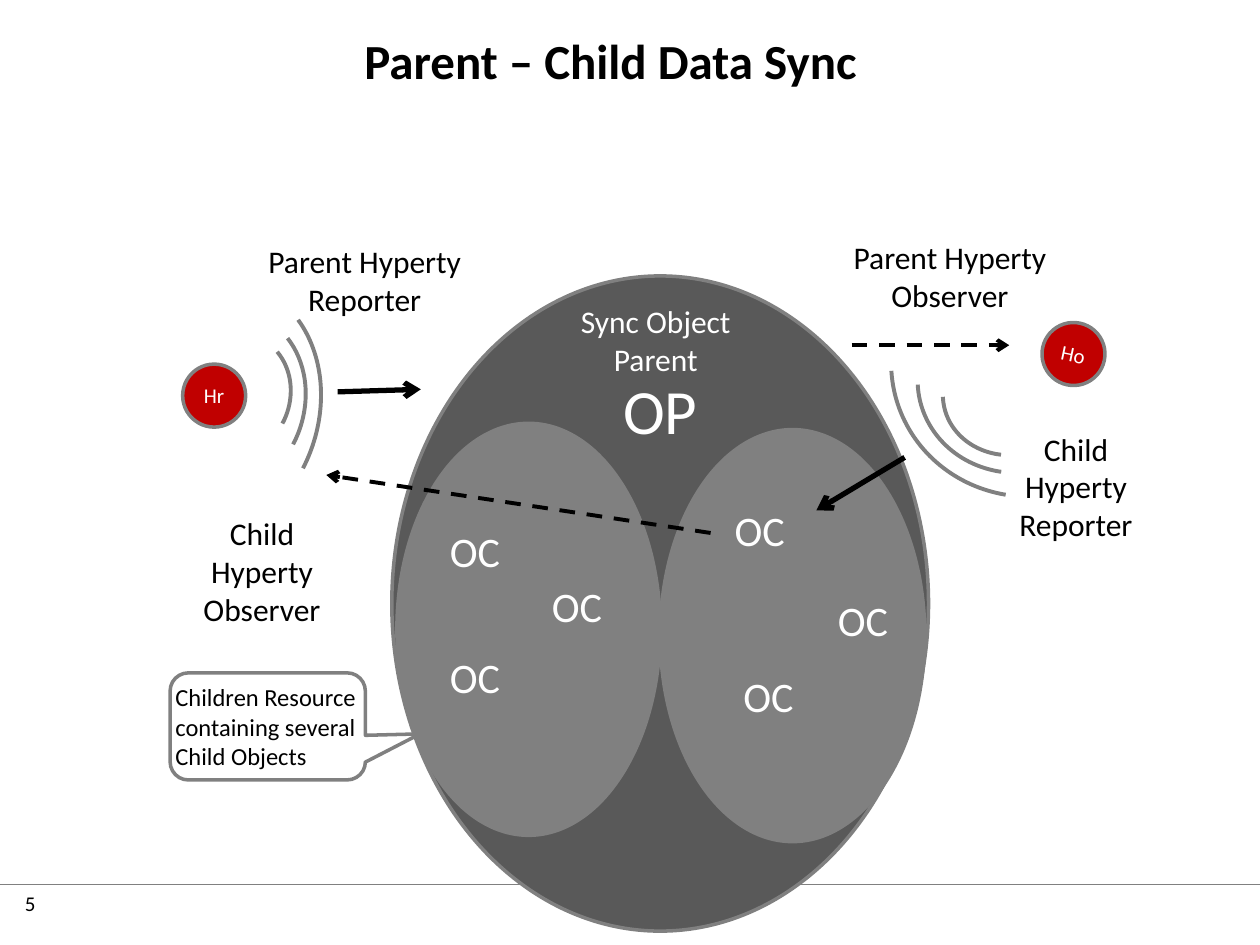
from lxml import etree
from pptx import Presentation, util as u
from pptx.dml.color import RGBColor
from pptx.enum import dml, shapes, text
from pptx.oxml.ns import qn

HUE = {"ink": "000000", "paper": "FFFFFF", "dark": "595959",
       "grey": "808080", "red": "C00000"}
FONT = "Calibri"
KIND = shapes.MSO_SHAPE
MID, TOP = text.MSO_ANCHOR.MIDDLE, text.MSO_ANCHOR.TOP
LEFT, MIDDLE = text.PP_ALIGN.LEFT, text.PP_ALIGN.CENTER

LABELS = [
    ("5", (0.1, 7.02, 0.8, 0.4), 12, "ink", False, LEFT),
    ("Parent – Child Data Sync", (0.91, 0.19, 7.87, 0.52), 28, "ink", True, MIDDLE),
    ("Sync Object Parent", (4.34, 2.35, 1.73, 0.71), 18, "paper", False, MIDDLE),
    ("Parent Hyperty Reporter", (1.81, 1.87, 2.17, 0.71), 18, "ink", False, MIDDLE),
    ("Parent Hyperty Observer", (6.56, 1.84, 1.96, 0.71), 18, "ink", False, MIDDLE),
    ("Child\vHyperty Reporter", (7.56, 3.36, 1.96, 1.01), 18, "ink", False, MIDDLE),
    ("Child\vHyperty Observer", (1.1, 4.03, 1.96, 1.01), 18, "ink", False, MIDDLE),
]
PARENT = ("OP", (3.11, 2.19, 4.26, 5.2))
GROUPS = [(3.15, 3.36, 2.09, 3.27), (5.24, 3.41, 2.1, 3.27)]
CHILDREN = [(3.39, 4.07), (4.2, 4.51), (3.39, 5.07),
            (5.65, 3.91), (6.47, 4.62), (5.72, 5.22)]
ACTORS = [("Hr", 1.45, 2.89, 0), ("Ho", 8.27, 2.56, 11.9)]
NOTE = "Children Resource\ncontaining several\vChild Objects"
LINKS = [
    ((2.68, 3.11), (3.34, 3.09), 3, False),
    ((6.76, 2.74), (8.01, 2.74), 2.25, True),
    ((7.18, 3.63), (6.48, 4.05), 3, False),
    ((5.64, 4.23), (2.59, 3.77), 2.25, True),
]
WAVES = [
    (21.6, [(1.41, 2.64, 0.89, 1), (1.12, 2.45, 1.29, 1.51),
            (0.75, 2.2, 1.77, 2.15)]),
    (167.7, [(7.48, 2.61, 1.12, 1), (7.28, 2.24, 1.62, 1.51),
             (7.07, 1.79, 2.23, 2.15)]),
]
SWEEP = (175.92, 4.96)

deck = Presentation()
deck.slide_width, deck.slide_height = u.Inches(10), u.Inches(7.5)
slide = deck.slides.add_slide(deck.slide_layouts[6])


def inches(nums):
    return [u.Inches(n) for n in nums]


def color(name):
    return RGBColor.from_string(HUE[name])


def apply(item, vals):
    for key, val in vals.items():
        setattr(item, key, val)


def write(frame, words, size, hue, bold=False, align=MIDDLE):
    frame.text = words
    for para in frame.paragraphs:
        para.alignment = align
        for run in para.runs:
            apply(run.font, {"name": FONT, "size": u.Pt(size), "bold": bold})
            run.font.color.rgb = color(hue)


def draw(kind, box, fill=None, width=2, turn=0):
    item = slide.shapes.add_shape(kind, *inches(box))
    item.shadow.inherit = False
    item.rotation = turn
    if fill:
        item.fill.solid()
        item.fill.fore_color.rgb = color(fill)
    else:
        item.fill.background()
    item.line.color.rgb = color("grey")
    item.line.width = u.Pt(width)
    return item


def fill_in(item, words, size, hue="paper", anchor=TOP, align=MIDDLE):
    frame = item.text_frame
    apply(frame, {"margin_left": 0, "margin_right": 0, "margin_top": 0,
                  "margin_bottom": 0, "word_wrap": False,
                  "vertical_anchor": anchor})
    write(frame, words, size, hue, align=align)


def label(words, box, *style):
    frame = slide.shapes.add_textbox(*inches(box)).text_frame
    frame.word_wrap = True
    write(frame, words, *style)


def link(start, end, width, hue="ink", dash=False, arrow=True):
    item = slide.shapes.add_connector(
        shapes.MSO_CONNECTOR.STRAIGHT, *inches(start + end))
    item.line.color.rgb = color(hue)
    item.line.width = u.Pt(width)
    if dash:
        item.line.dash_style = dml.MSO_LINE.DASH
    if arrow:
        tip = etree.SubElement(item.line._get_or_add_ln(), qn("a:tailEnd"))
        tip.set("type", "arrow")
    etree.SubElement(item._element.spPr, qn("a:effectLst"))


link((0, 7.02), (10, 7.02), 0.75, "grey", arrow=False)
fill_in(draw(KIND.OVAL, PARENT[1], "dark"), PARENT[0], 36)
for box in GROUPS:
    draw(KIND.OVAL, box, "grey")
for spot in CHILDREN:
    fill_in(draw(KIND.OVAL, spot + (0.76, 0.67), "grey"), "OC", 24)
for name, left, top, turn in ACTORS:
    fill_in(draw(KIND.OVAL, (left, top, 0.5, 0.5), "red", turn=turn),
            name, 12, anchor=MID)
for turn, boxes in WAVES:
    for box in boxes:
        arc = draw(KIND.ARC, box, width=2.25, turn=turn)
        arc.adjustments[0], arc.adjustments[1] = SWEEP
for start, end, width, dash in LINKS:
    link(start, end, width, dash=dash)
for row in LABELS:
    label(*row)

note = draw(KIND.ROUNDED_RECTANGULAR_CALLOUT, (1.35, 5.34, 1.55, 0.85), "paper")
for i, val in enumerate((0.78, 0.07, 0.17)):
    note.adjustments[i] = val
fill_in(note, NOTE, 14, "ink", MID, LEFT)

deck.save("out.pptx")
